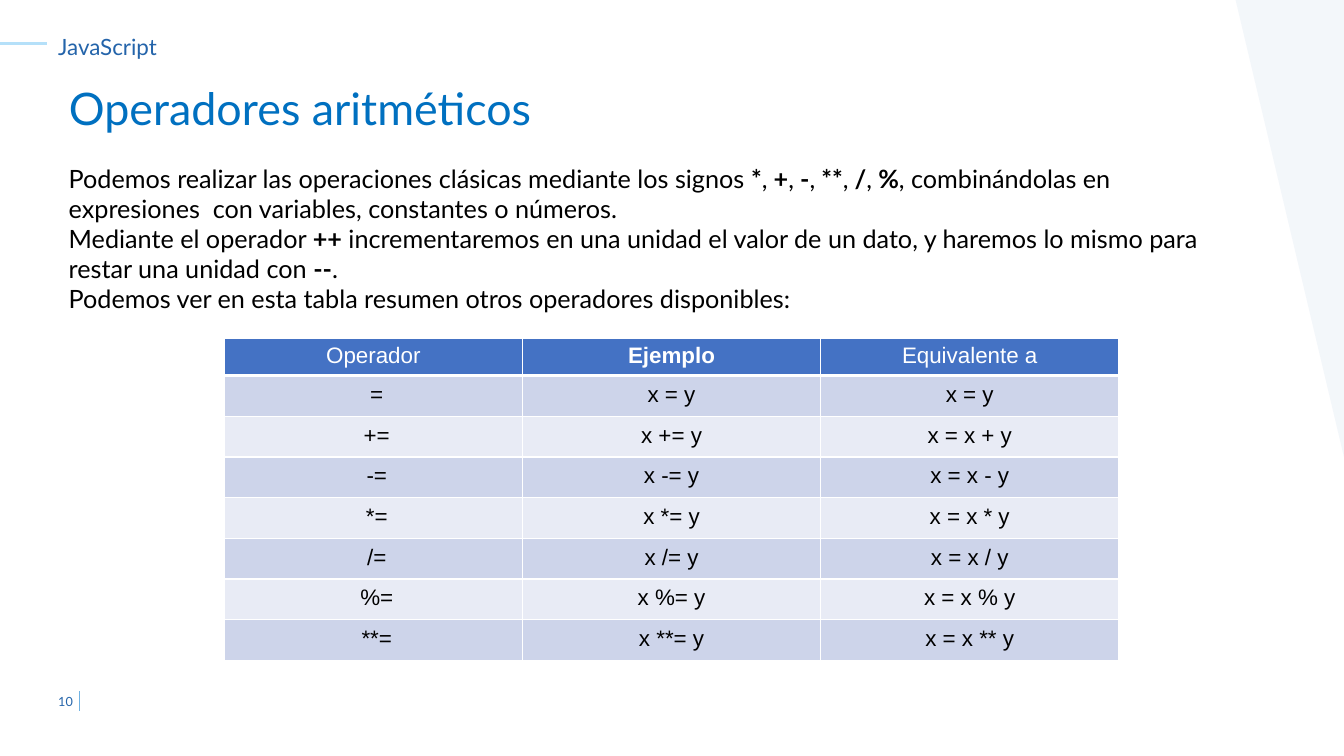
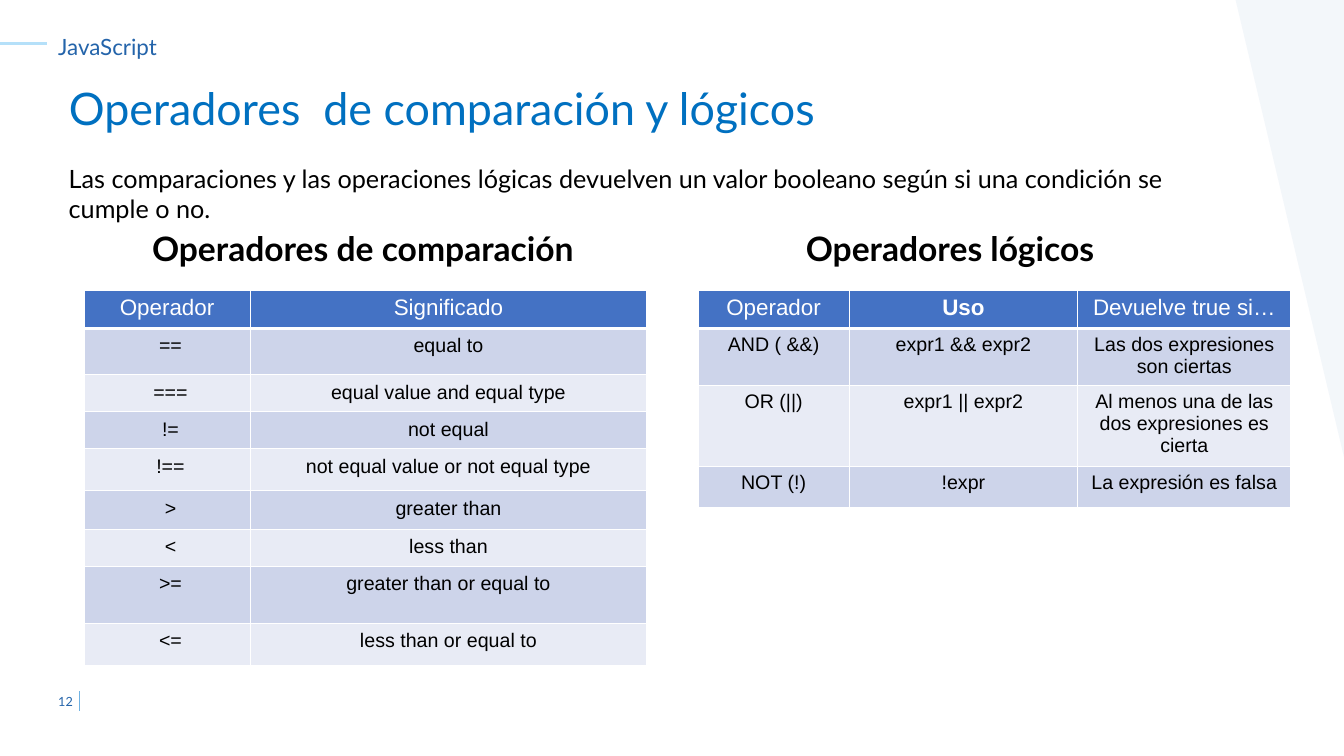
"""Build two slides on JavaScript operators, laid out on a grid of 160 columns by 90 rows."""
from lxml import etree
from pptx import Presentation
from pptx import util as u
from pptx.dml.color import RGBColor
from pptx.enum import shapes, text
from pptx.oxml import ns

WHITE = RGBColor(0xFF, 0xFF, 0xFF)
BLACK = RGBColor(0x00, 0x00, 0x00)
NAVY = RGBColor(0x24, 0x64, 0xAA)
BLUE = RGBColor(0x00, 0x70, 0xC0)
SKY = RGBColor(0x71, 0xB3, 0xE3)
PALE = RGBColor(0xB5, 0xE0, 0xF9)
HEADER = RGBColor(0x44, 0x72, 0xC4)
BANDS = [RGBColor(0xE8, 0xEB, 0xF5), RGBColor(0xCD, 0xD4, 0xEA)]

COLUMNS, ROWS = 160, 90
LEFT, CENTER = text.PP_ALIGN.LEFT, text.PP_ALIGN.CENTER
TOP, MIDDLE = text.MSO_ANCHOR.TOP, text.MSO_ANCHOR.MIDDLE
TIGHT = [(1.2, 1.2, 0.6)]
ROOMY = [(1.6, 0.8, 0.8), (0.8, 0.8, 0.8)]


class Deck:
    """Hold the shared style and the current slide."""

    def __init__(self):
        self.prs = Presentation()
        self.apply(self.prs, slide_width=u.Inches(13.33), slide_height=u.Inches(7.5))
        self.s = None

    def apply(self, obj, **values):
        """Set attributes from format values."""
        for name, value in values.items():
            setattr(obj, name, value)

    def x(self, columns):
        """Return the length of grid columns."""
        return round(self.prs.slide_width * columns / COLUMNS)

    def y(self, rows):
        """Return the length of grid rows."""
        return round(self.prs.slide_height * rows / ROWS)

    def box(self, left, top, width, height):
        """Return a grid box as lengths."""
        return self.x(left), self.y(top), self.x(width), self.y(height)

    def fill_text(self, tf, paragraphs, size, color, font="Lato", align=LEFT):
        """Fill a text frame; underscores enclose bold text."""
        for i, line in enumerate(paragraphs):
            p = tf.add_paragraph() if i else tf.paragraphs[0]
            p.alignment = align
            for j, part in enumerate(line.split("_")):
                if part:
                    r = p.add_run()
                    r.text = part
                    self.apply(r.font, name=font, size=u.Pt(size), bold=j % 2 == 1)
                    r.font.color.rgb = color

    def text(self, box, paragraphs, size, color, align=LEFT, anchor=TOP):
        """Add a wrapping text box."""
        tf = self.s.shapes.add_textbox(*self.box(*box)).text_frame
        self.apply(tf, word_wrap=True, vertical_anchor=anchor)
        self.fill_text(tf, paragraphs, size, color, align=align)

    def line(self, x1, y1, x2, y2, color, width):
        """Add a straight line without shadow."""
        c = self.s.shapes.add_connector(
            shapes.MSO_CONNECTOR.STRAIGHT, self.x(x1), self.y(y1), self.x(x2), self.y(y2))
        c.line.color.rgb = color
        c.line.width = u.Pt(width)
        etree.SubElement(c._element.spPr, ns.qn("a:effectLst"))

    def panel(self):
        """Add the translucent wedge on the right edge."""
        corners = [(self.x(a), self.y(b)) for a, b in ((147.1, 0), (160, 0), (160, 54.4))]
        builder = self.s.shapes.build_freeform(*corners[0])
        builder.add_line_segments(corners[1:])
        sp = builder.convert_to_shape()
        sp.shadow.inherit = False
        sp.line.fill.background()
        sp.fill.solid()
        sp.fill.fore_color.rgb = NAVY
        color = sp._element.spPr.find(".//" + ns.qn("a:srgbClr"))
        etree.SubElement(color, ns.qn("a:alpha"), val="5000")

    def slide(self, number, title, paragraphs):
        """Start a slide with its title, frame and introduction."""
        self.s = self.prs.slides.add_slide(self.prs.slide_layouts[5])
        sp = self.s.shapes.title
        left, top, width, height = self.box(7, 9, 133, 7.7)
        self.apply(sp, left=left, top=top, width=width, height=height)
        self.apply(sp.text_frame, word_wrap=True, vertical_anchor=TOP,
                   auto_size=text.MSO_AUTO_SIZE.NONE)
        self.fill_text(sp.text_frame, [title], 32, BLUE)
        self.panel()
        self.text((5.75, 81.1, 4.8, 4.8), [str(number)], 9, NAVY, anchor=MIDDLE)
        self.line(9.5, 82.3, 9.5, 84.7, SKY, 1)
        self.text((5.75, 3.4, 115.5, 4.4), ["JavaScript"], 16, NAVY)
        self.line(0, 5.2, 5.6, 5.2, PALE, 2.25)
        self.text((7, 18.8, 142, 3.6 * len(paragraphs) + 5), paragraphs, 18, BLACK)

    def borders(self, cell, row):
        """Rule a cell in white, with a thick line below the header."""
        tcPr = cell._tc.get_or_add_tcPr()
        for side in "LRTB":
            thick = (row, side) in ((0, "B"), (1, "T"))
            ln = etree.SubElement(tcPr, ns.qn("a:ln" + side), w=str(u.Pt(3 if thick else 1)))
            fill = etree.SubElement(ln, ns.qn("a:solidFill"))
            etree.SubElement(fill, ns.qn("a:srgbClr"), val=str(WHITE))

    def table(self, left, top, widths, heights, cells, size, insets):
        """Add a banded table with a header row."""
        box = self.box(left, top, sum(widths), sum(heights))
        table = self.s.shapes.add_table(len(heights), len(widths), *box).table
        for column, width in zip(table.columns, widths):
            column.width = self.x(width)
        for i, (row, height, values) in enumerate(zip(table.rows, heights, cells)):
            row.height = self.y(height)
            for j, (cell, value) in enumerate(zip(row.cells, values)):
                pads = insets if i else TIGHT
                start, end, edge = pads[min(j, len(pads) - 1)]
                self.apply(cell, margin_left=self.x(start), margin_right=self.x(end),
                           margin_top=self.y(edge), margin_bottom=self.y(edge))
                self.borders(cell, i)
                cell.fill.solid()
                cell.fill.fore_color.rgb = BANDS[i % 2] if i else HEADER
                self.fill_text(cell.text_frame, [value], size if i else 16,
                               BLACK if i else WHITE, "Arial", CENTER)


def main():
    """Build and save the slides."""
    d = Deck()
    d.slide(10, "Operadores aritméticos", [
        "Podemos realizar las operaciones clásicas mediante los signos _*_,_ +_,_ -_,_ **_,_ /_,_ %_, "
        "combinándolas en expresiones  con variables, constantes o números.",
        "Mediante el operador _++_ incrementaremos en una unidad el valor de un dato, "
        "y haremos lo mismo para restar una unidad con _--_.",
        "Podemos ver en esta tabla resumen otros operadores disponibles:",
    ])
    signs = ["+", "-", "*", "/", "%", "**"]
    arithmetic = [("Operador", "_Ejemplo_", "Equivalente a"), ("=", "x = y", "x = y")]
    arithmetic += [(f"{sign}=", f"x {sign}= y", f"x = x {sign} y") for sign in signs]
    d.table(26.7, 40.3, [35.5] * 3, [4.4] + [4.85] * 7, arithmetic, 16, ROOMY)

    d.slide(12, "Operadores  de comparación y lógicos", [
        "Las comparaciones y las operaciones lógicas devuelven un valor booleano "
        "según si una condición se cumple o no.",
    ])
    comparison = [
        ("Operador", "Significado"),
        ("==", "equal to"),
        ("===", "equal value and equal type"),
        ("!=", "not equal"),
        ("!==", "not equal value or not equal type"),
        (">", "greater than"),
        ("<", "less than"),
        (">=", "greater than or equal to"),
        ("<=", "less than or equal to"),
    ]
    d.table(10, 34.6, [19.8, 47.2], [4.5, 5.5, 4.4, 4.4, 5, 4.6, 4.4, 6.8, 5],
            comparison, 14, ROOMY)
    logic = [
        ("Operador", "_Uso_", "Devuelve true si…"),
        ("AND ( &&)", "expr1 && expr2", "Las dos expresiones son ciertas"),
        ("OR (||)", "expr1 || expr2", "Al menos una de las dos expresiones es cierta"),
        ("NOT (!)", "!expr", "La expresión es falsa"),
    ]
    d.table(83.1, 34.6, [18, 27.2, 25.4], [4.5, 6.7, 9.5, 4.9], logic, 14, TIGHT)
    headings = [(14.2, 58, "_Operadores de comparación_"), (92.9, 40.4, "_Operadores lógicos_")]
    for left, width, heading in headings:
        d.text((left, 26.5, width, 6), [heading], 24, BLACK, CENTER)

    d.prs.save("out.pptx")


if __name__ == "__main__":
    main()
